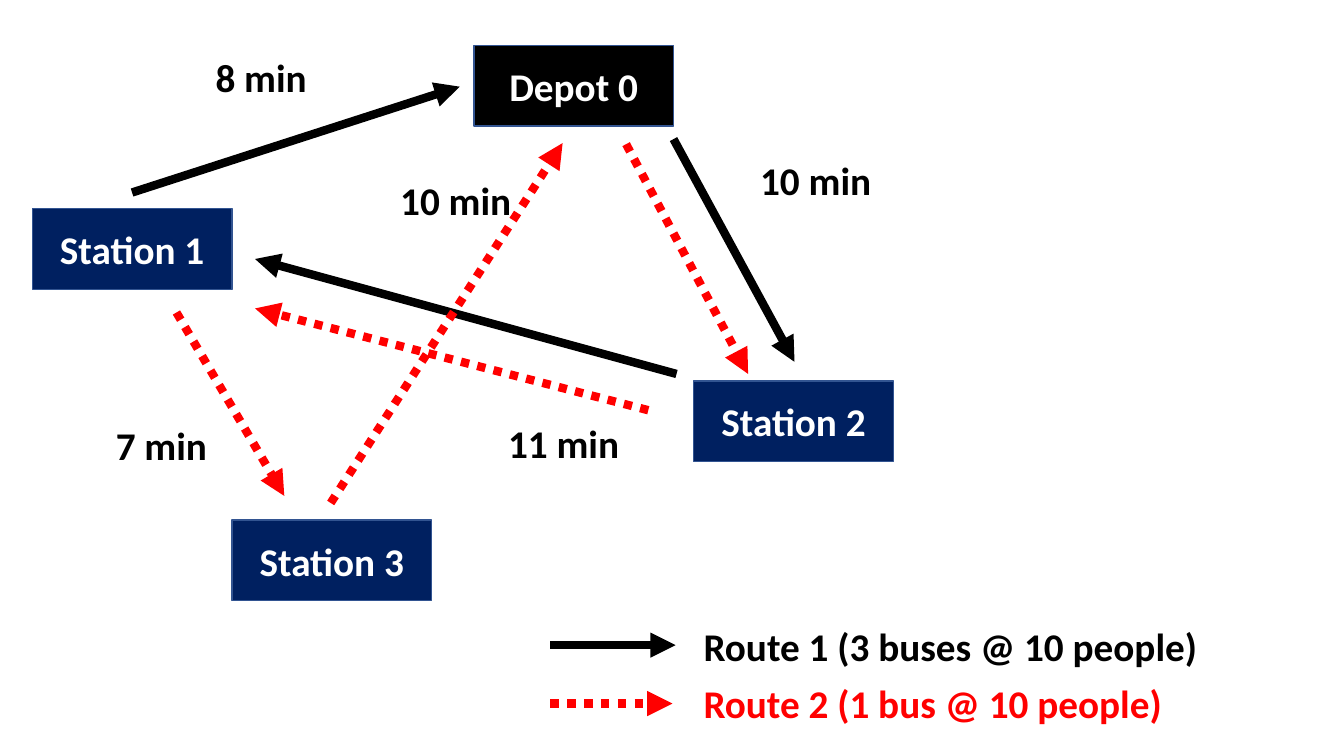
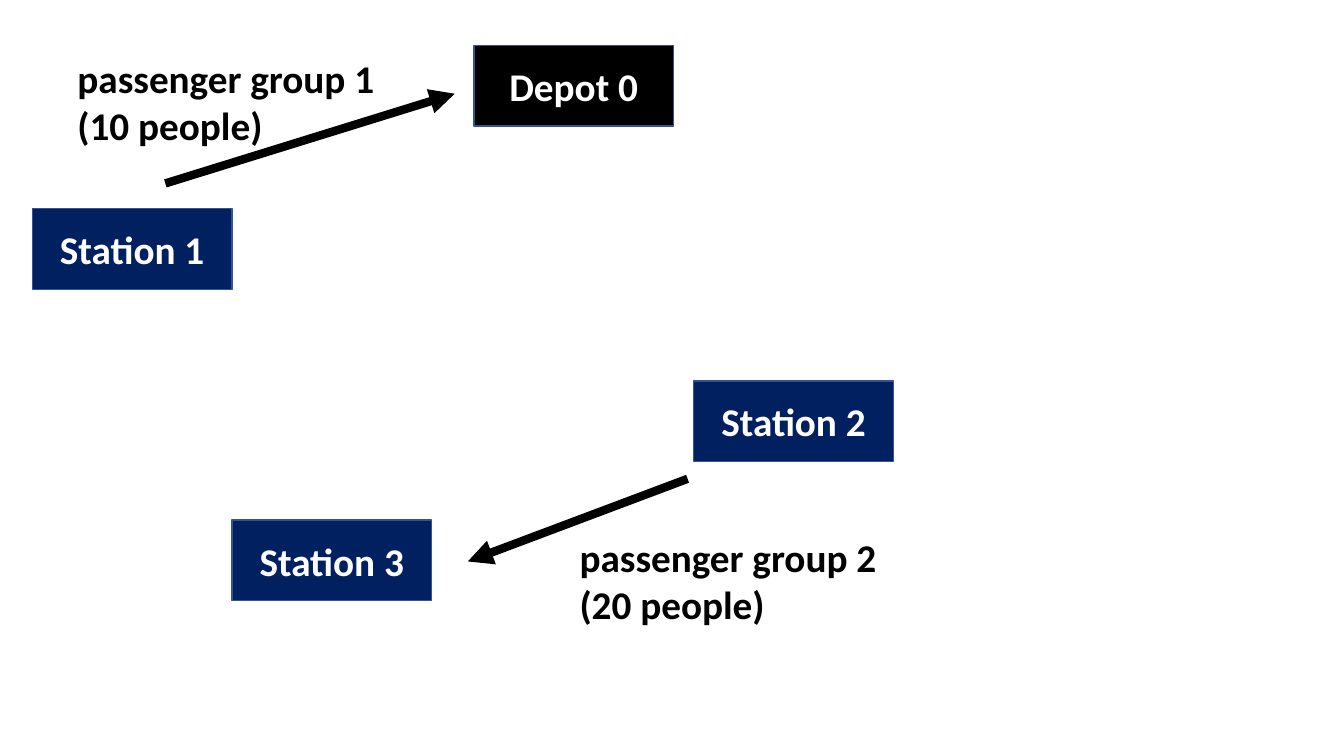
from dataclasses import dataclass

from lxml import etree
from pptx import Presentation
from pptx.dml.color import RGBColor
from pptx.enum.dml import MSO_LINE
from pptx.enum.shapes import MSO_CONNECTOR, MSO_SHAPE
from pptx.enum.text import MSO_ANCHOR, MSO_AUTO_SIZE, PP_ALIGN
from pptx.oxml.ns import qn
from pptx.slide import Slide
from pptx.text.text import TextFrame
from pptx.util import Inches, Pt

RECTANGLE = MSO_SHAPE.RECTANGLE
STRAIGHT = MSO_CONNECTOR.STRAIGHT
DOTTED = MSO_LINE.ROUND_DOT
MIDDLE = MSO_ANCHOR.MIDDLE
FIT_SHAPE = MSO_AUTO_SIZE.SHAPE_TO_FIT_TEXT
LEFT, CENTER = PP_ALIGN.LEFT, PP_ALIGN.CENTER


@dataclass(frozen=True)
class Theme:
    font: str = "Calibri"
    text_size: float = 28
    outline_width: float = 1
    arrow_width: float = 6
    black: RGBColor = RGBColor(0x00, 0x00, 0x00)
    white: RGBColor = RGBColor(0xFF, 0xFF, 0xFF)
    red: RGBColor = RGBColor(0xFF, 0x00, 0x00)
    navy: RGBColor = RGBColor(0x00, 0x20, 0x60)
    outline: RGBColor = RGBColor(0x32, 0x54, 0x91)


THEME = Theme()


@dataclass(frozen=True)
class Stop:
    name: str
    left: float
    top: float
    fill: RGBColor = THEME.navy


@dataclass(frozen=True)
class Arrow:
    start: tuple[float, float]
    end: tuple[float, float]
    color: RGBColor = THEME.black
    dotted: bool = False


@dataclass(frozen=True)
class Label:
    text: str
    left: float
    top: float
    width: float
    height: float = 0.57
    color: RGBColor = THEME.black
    align: PP_ALIGN = CENTER


def route_2(start: tuple[float, float], end: tuple[float, float]) -> Arrow:
    return Arrow(start, end, THEME.red, dotted=True)


STOP_WIDTH, STOP_HEIGHT = 1.98, 0.8
STOPS = (
    Stop("Station 1", 0.32, 2.07),
    Stop("Station 2", 6.88, 3.78),
    Stop("Station 3", 2.3, 5.16),
    Stop("Depot 0", 4.7, 0.45, THEME.black),
)

ROUTE_ARROWS = (
    Arrow((1.31, 1.91), (4.56, 0.86)),
    Arrow((6.71, 3.71), (2.53, 2.57)),
    Arrow((6.68, 1.38), (7.88, 3.59)),
    route_2((6.21, 1.43), (7.42, 3.71)),
    route_2((6.43, 4.07), (2.53, 3.06)),
    route_2((3.28, 4.99), (5.58, 1.42)),
    route_2((1.75, 3.1), (2.82, 4.92)),
)
LEGEND_ARROWS = (
    Arrow((5.46, 6.4), (6.7, 6.4)),
    route_2((5.46, 6.98), (6.67, 6.98)),
)
ROUTE_LABELS = (
    Label("8 min", 2.03, 0.48, 1.12),
    Label("10 min", 7.43, 1.5, 1.32),
    Label("10 min", 3.86, 1.7, 1.32),
    Label("7 min", 1.04, 4.13, 1.12),
    Label("11 min", 4.93, 4.11, 1.32),
)
LEGEND_LABELS = (
    Label("Route 1 (3 buses @ 10 people)", 6.88, 6.12, 5.15, align=LEFT),
    Label("Route 2 (1 bus @ 10 people)", 6.88, 6.69, 4.8, color=THEME.red, align=LEFT),
)

GROUP_ARROWS = (
    Arrow((1.64, 1.82), (4.51, 0.93)),
    Arrow((6.82, 4.75), (4.64, 5.57)),
)
GROUP_LABELS = (
    Label("passenger group 1\n(10 people)", 0.67, 0.49, 3.27, 1.04, align=LEFT),
    Label("passenger group 2\n(20 people)", 5.65, 5.24, 3.27, 1.04, align=LEFT),
)


def write_text(frame: TextFrame, text: str, color: RGBColor, align: PP_ALIGN) -> None:
    frame.text = text
    for para in frame.paragraphs:
        para.alignment = align
        for span in para.runs:
            span.font.name = THEME.font
            span.font.size = Pt(THEME.text_size)
            span.font.bold = True
            span.font.color.rgb = color


def draw_stop(page: Slide, stop: Stop) -> None:
    box = page.shapes.add_shape(
        RECTANGLE, Inches(stop.left), Inches(stop.top), Inches(STOP_WIDTH), Inches(STOP_HEIGHT)
    )
    box.shadow.inherit = False
    box.fill.solid()
    box.fill.fore_color.rgb = stop.fill
    box.line.color.rgb = THEME.outline
    box.line.width = Pt(THEME.outline_width)
    box.text_frame.vertical_anchor = MIDDLE
    write_text(box.text_frame, stop.name, THEME.white, CENTER)


def draw_arrow(page: Slide, arrow: Arrow) -> None:
    points = (Inches(value) for value in arrow.start + arrow.end)
    connector = page.shapes.add_connector(STRAIGHT, *points)
    connector.line.color.rgb = arrow.color
    connector.line.width = Pt(THEME.arrow_width)
    if arrow.dotted:
        connector.line.dash_style = DOTTED
    properties = connector.element.spPr
    etree.SubElement(properties.find(qn("a:ln")), qn("a:tailEnd"), type="triangle")
    etree.SubElement(properties, qn("a:effectLst"))


def draw_label(page: Slide, label: Label) -> None:
    box = page.shapes.add_textbox(
        Inches(label.left), Inches(label.top), Inches(label.width), Inches(label.height)
    )
    box.text_frame.word_wrap = False
    box.text_frame.auto_size = FIT_SHAPE
    write_text(box.text_frame, label.text, label.color, label.align)


def add_map(deck: Presentation, arrows: tuple[Arrow, ...], labels: tuple[Label, ...]) -> None:
    """Add a page with the four stops, the given arrows and their labels."""
    page = deck.slides.add_slide(deck.slide_layouts[6])
    for stop in STOPS:
        draw_stop(page, stop)
    for arrow in arrows:
        draw_arrow(page, arrow)
    for label in labels:
        draw_label(page, label)


def main() -> None:
    deck = Presentation()
    deck.slide_width = Inches(13.33)
    deck.slide_height = Inches(7.5)
    add_map(deck, ROUTE_ARROWS + LEGEND_ARROWS, ROUTE_LABELS + LEGEND_LABELS)
    add_map(deck, GROUP_ARROWS, GROUP_LABELS)
    deck.save("out.pptx")


if __name__ == "__main__":
    main()
